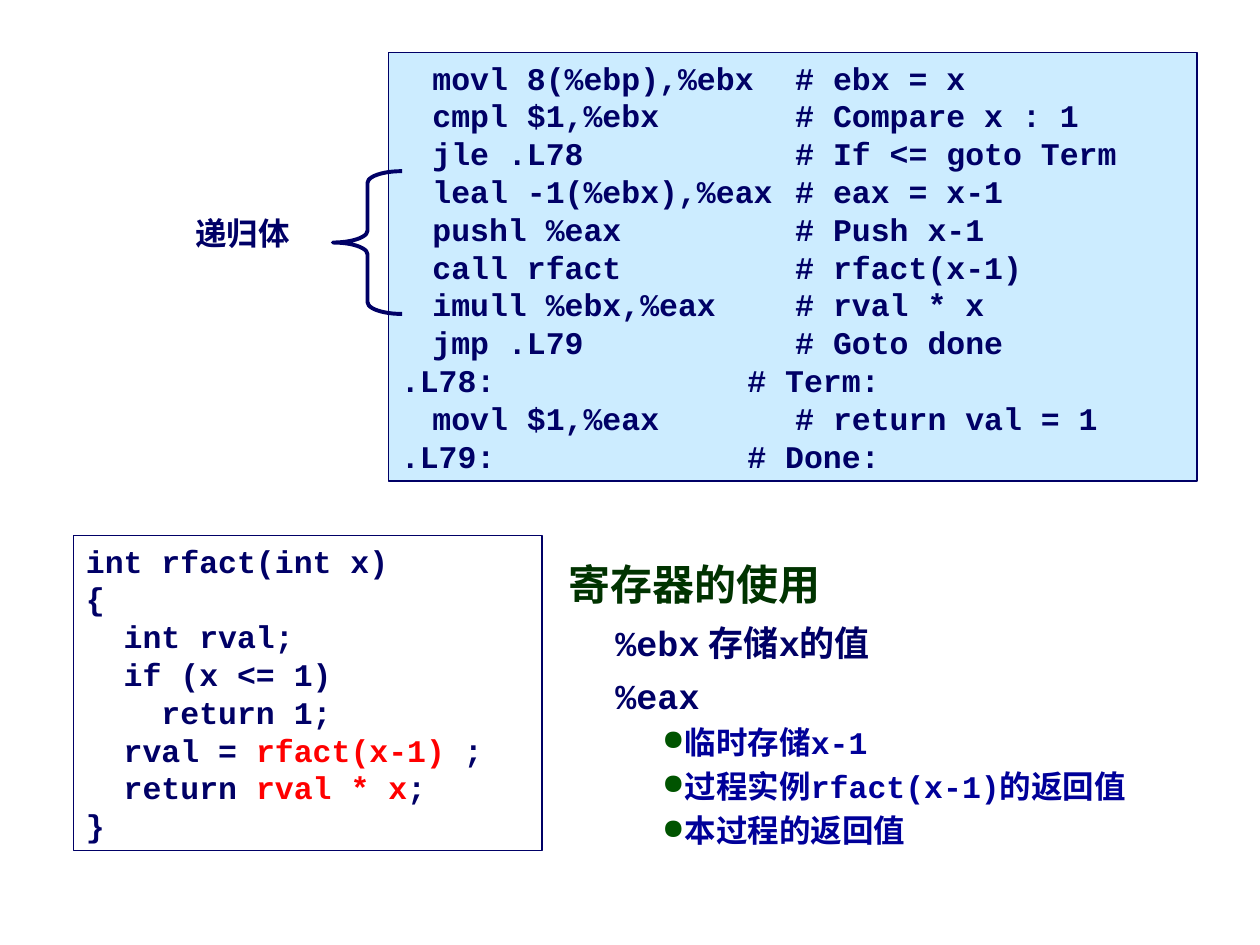
import pptx
import pptx.dml.color
import pptx.enum.shapes
import pptx.enum.text
import pptx.oxml
import pptx.oxml.ns
import pptx.util
import lxml.etree

NAVY, RED, GREEN, BLUE = "000066", "FF0000", "003300", "000099"
SHAPES = pptx.enum.shapes.MSO_SHAPE
AUTO = pptx.enum.text.MSO_AUTO_SIZE

deck = pptx.Presentation()
deck.slide_width, deck.slide_height = pptx.util.Inches(10), pptx.util.Inches(7.5)
slide = deck.slides.add_slide(deck.slide_layouts[6])
unit = deck.slide_width / 120  # grid of 120 columns by 90 rows


def color(value):
    return pptx.dml.color.RGBColor.from_string(value)


def write(shape, lines, autosize, wrap=True):
    """Fill a shape with lines: (runs, size, paragraph format, tabs, indents, bullet)."""
    frame = shape.text_frame
    settings = {"word_wrap": wrap, "auto_size": autosize,
                "vertical_anchor": pptx.enum.text.MSO_ANCHOR.TOP}
    for name, value in settings.items():
        setattr(frame, name, value)
    for number, (runs, size, layout, tabs, indents, bullet) in enumerate(lines):
        paragraph = frame.paragraphs[0] if number == 0 else frame.add_paragraph()
        props = paragraph._p.get_or_add_pPr()
        for name, inches in zip(("marL", "indent"), indents):
            props.set(name, str(pptx.util.Inches(inches)))
        parts = []
        if bullet:
            parts = [("buClr", {}), ("buSzPct", {"val": "90000"}),
                     ("buChar", {"char": "●"})]
        for tag, attributes in parts + [("tabLst", {})]:
            item = lxml.etree.SubElement(props, pptx.oxml.ns.qn("a:" + tag), attributes)
            if tag == "buClr":
                lxml.etree.SubElement(item, pptx.oxml.ns.qn("a:srgbClr"), val=bullet)
        for stop in tabs:
            lxml.etree.SubElement(item, pptx.oxml.ns.qn("a:tab"),
                                  pos=str(pptx.util.Inches(stop)), algn="l")
        layout = {"alignment": pptx.enum.text.PP_ALIGN.LEFT, **layout}
        for name, value in layout.items():
            setattr(paragraph, name, value)
        for words, font, ink in runs:
            run = paragraph.add_run()
            run.text = words
            for name, value in {"name": font, "size": pptx.util.Pt(size), "bold": True}.items():
                setattr(run.font, name, value)
            run.font.color.rgb = color(ink)


# Register usage notes
usage_tabs = [1.19, 1.96, 2.94, 3.92, 4.9, 5.88, 6.85]
register = {"space_before": pptx.util.Pt(6.2)}
detail = {"space_before": pptx.util.Pt(2.2), "line_spacing": 1.07}
usage = [([("寄存器的使用", "Arial", GREEN)], 24, {"line_spacing": 0.95},
          usage_tabs, (0.24, -0.24), None)]
for runs in ([("%ebx\t存储x", "Courier New", NAVY), ("的值", "Arial", NAVY)],
             [("%eax", "Courier New", NAVY)]):
    usage.append((runs, 20, register, usage_tabs, (0.61, -0.24), None))
for words, font in (("临时存储x-1", "Courier New"),
                    ("过程实例rfact(x-1)的返回值", "Courier New"),
                    ("本过程的返回值", "Arial")):
    usage.append(([(words, font, BLUE)], 18, detail, usage_tabs, (0.92, -0.18), "005400"))
usage_box = slide.shapes.add_textbox(*(int(n * unit) for n in (53, 53, 64.2, 29)))
write(usage_box, usage, AUTO.NONE)

# Assembly listing and C source
assembly = """\tmovl 8(%ebp),%ebx\t# ebx = x
\tcmpl $1,%ebx\t\t# Compare x : 1
\tjle .L78\t\t# If <= goto Term
\tleal -1(%ebx),%eax\t# eax = x-1
\tpushl %eax\t\t# Push x-1
\tcall rfact\t\t# rfact(x-1)
\timull %ebx,%eax\t\t# rval * x
\tjmp .L79\t\t# Goto done
.L78:\t# Term:
\tmovl $1,%eax\t\t# return val = 1
.L79:\t# Done:"""
source = """int rfact(int x)
{
  int rval;
  if (x <= 1)
    return 1;
  rval = |rfact(x-1)| ;
  return |rval * x|;
}"""  # bars enclose the red part
assembly_tabs = [0.25, 2.75, 3.13, 4, 5, 6, 7]
for code, tabs, fill, cells in (
        (assembly, assembly_tabs, "CCECFF", (37, 5, 77, 40.8)),
        (source, range(1, 8), None, (7, 51, 44.6, 30))):
    panel = slide.shapes.add_shape(SHAPES.RECTANGLE, *(int(n * unit) for n in cells))
    panel.shadow.inherit = False
    if fill:
        panel.fill.solid()
        panel.fill.fore_color.rgb = color(fill)
    else:
        panel.fill.background()
    panel.line.color.rgb = color(NAVY)
    panel.line.width = pptx.util.Pt(1)
    lines = []
    for line in code.split("\n"):
        runs = [(words, "Courier New", (NAVY, RED)[i % 2])
                for i, words in enumerate(line.split("|"))]
        lines.append((runs, 18, {}, tabs, (), None))
    write(panel, lines, AUTO.SHAPE_TO_FIT_TEXT)

# Brace around the recursive body, and its label
brace = slide.shapes.add_shape(SHAPES.LEFT_BRACE,
                               *(int(n * unit) for n in (31.7, 16.3, 6.6, 13.6)))
brace.adjustments[0] = 0.17
brace.shadow.inherit = False
brace.fill.background()
brace.line.color.rgb = color(NAVY)
brace.line.width = pptx.util.Pt(2.25)

label = slide.shapes.add_textbox(*(int(n * unit) for n in (17.4, 19.8, 11.4, 4.8)))
write(label, [([("递归体", "Arial", NAVY)], 18,
               {"alignment": pptx.enum.text.PP_ALIGN.RIGHT}, range(1, 8), (), None)],
      AUTO.SHAPE_TO_FIT_TEXT, wrap=False)

deck.save("out.pptx")
